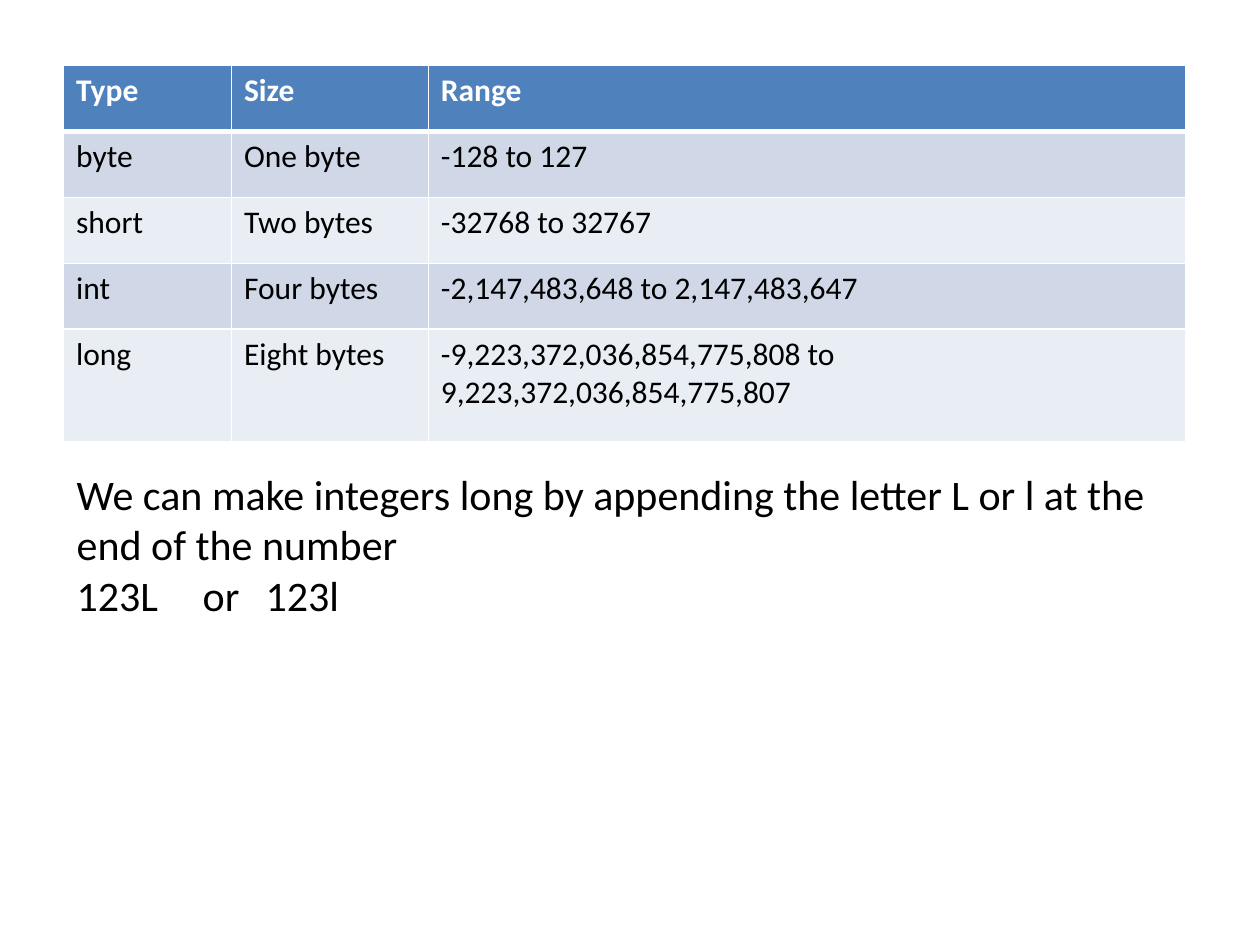
from lxml.etree import SubElement
from pptx import Presentation
from pptx.dml.color import RGBColor
from pptx.enum.text import MSO_AUTO_SIZE
from pptx.oxml.ns import qn
from pptx.util import Pt

COLOURS = {
    "white": "FFFFFF",
    "black": "000000",
    "header": "4F81BD",
    "odd": "D0D8E8",
    "even": "E9EDF4",
}

INTEGER_TYPES = [
    ("Type", "Size", "Range"),
    ("byte", "One byte", "-128 to 127"),
    ("short", "Two bytes", "-32768 to 32767"),
    ("int", "Four bytes", "-2,147,483,648 to 2,147,483,647"),
    ("long", "Eight bytes", "-9,223,372,036,854,775,808 to 9,223,372,036,854,775,807"),
]

LONG_NOTES = [
    "We can make integers long by appending the letter L or l at the end of the number",
    "123L\tor\t123l",
]


class SlideBuilder:
    font_name = "Calibri"

    def __init__(self, deck):
        self.page = deck.slides.add_slide(deck.slide_layouts[6])

    def add_span(self, para, text, size, colour, bold=False):
        span = para.add_run()
        span.text = text
        span.font.name = self.font_name
        span.font.size = Pt(size)
        span.font.bold = bold
        span.font.color.rgb = RGBColor.from_string(COLOURS[colour])

    def add_border(self, cell, side, width):
        line = SubElement(cell._tc.get_or_add_tcPr(), qn(f"a:ln{side}"), w=str(Pt(width)))
        fill = SubElement(line, qn("a:solidFill"))
        SubElement(fill, qn("a:srgbClr"), val=COLOURS["white"])

    def add_table(self, left, top, widths, heights, rows):
        frame = self.page.shapes.add_table(
            len(rows), len(widths), Pt(left), Pt(top), Pt(sum(widths)), Pt(sum(heights))
        )
        table = frame.table
        for column, width in zip(table.columns, widths):
            column.width = Pt(width)
        for index, (height, texts) in enumerate(zip(heights, rows)):
            table.rows[index].height = Pt(height)
            is_header = index == 0
            shade = "header" if is_header else "odd" if index % 2 else "even"
            edges = {"L": 1, "R": 1, "T": 3 if index == 1 else 1, "B": 3 if is_header else 1}
            for cell, text in zip(table.rows[index].cells, texts):
                for side, width in edges.items():
                    self.add_border(cell, side, width)
                cell.fill.solid()
                cell.fill.fore_color.rgb = RGBColor.from_string(COLOURS[shade])
                colour = "white" if is_header else "black"
                self.add_span(cell.text_frame.paragraphs[0], text, 18, colour, is_header)

    def add_text(self, left, top, width, height, lines):
        box = self.page.shapes.add_textbox(Pt(left), Pt(top), Pt(width), Pt(height))
        frame = box.text_frame
        frame.word_wrap = True
        frame.auto_size = MSO_AUTO_SIZE.SHAPE_TO_FIT_TEXT
        for index, line in enumerate(lines):
            para = frame.add_paragraph() if index else frame.paragraphs[0]
            self.add_span(para, line, 24, "black")


def main():
    deck = Presentation()
    deck.slide_width, deck.slide_height = Pt(720), Pt(540)
    builder = SlideBuilder(deck)
    builder.add_table(36.3, 37.5, [96, 112.5, 432.7], [37.65] * 4 + [64.6], INTEGER_TYPES)
    builder.add_text(36.75, 264.25, 635, 124, LONG_NOTES)
    deck.save("out.pptx")


if __name__ == "__main__":
    main()
